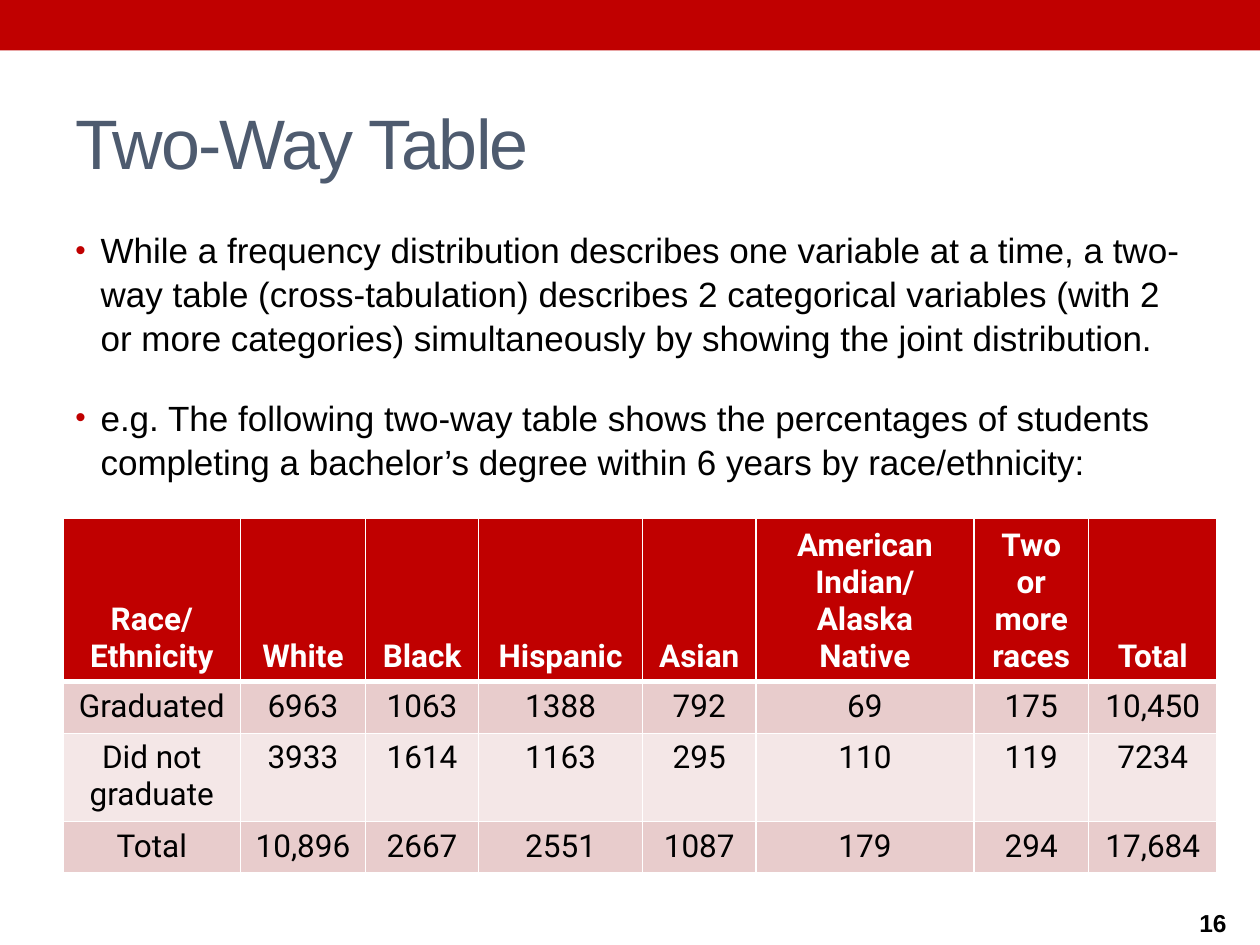
from pptx import Presentation
from pptx.dml.color import RGBColor
from pptx.enum.shapes import MSO_SHAPE
from pptx.enum.text import MSO_ANCHOR, PP_ALIGN
from pptx.oxml.ns import qn
from pptx.util import Inches, Pt
from lxml import etree

RECT = MSO_SHAPE.RECTANGLE
TOP, MIDDLE, BOTTOM = MSO_ANCHOR.TOP, MSO_ANCHOR.MIDDLE, MSO_ANCHOR.BOTTOM
CENTER = PP_ALIGN.CENTER

COLORS = {
    "red": "C00000",
    "slate": "4E5B6F",
    "black": "000000",
    "white": "FFFFFF",
    "rose": "E8CCCC",
    "blush": "F4E7E7",
}

POINTS = [
    "While a frequency distribution describes one variable at a time, a two-way table "
    "(cross-tabulation) describes 2 categorical variables (with 2 or more categories) "
    "simultaneously by showing the joint distribution.",
    "e.g. The following two-way table shows the percentages of students completing a "
    "bachelor’s degree within 6 years by race/ethnicity:",
]

ROWS = [
    ["Race/\nEthnicity", "White", "Black", "Hispanic", "Asian",
     "American Indian/\nAlaska Native", "Two or more races", "Total"],
    ["Graduated", "6963", "1063", "1388", "792", "69", "175", "10,450"],
    ["Did not graduate", "3933", "1614", "1163", "295", "110", "119", "7234"],
    ["Total", "10,896", "2667", "2551", "1087", "179", "294", "17,684"],
]
WIDTHS = [1.41, 0.99, 0.9, 1.3, 0.9, 1.73, 0.91, 1.02]
HEIGHTS = [1.26, 0.41, 0.68, 0.41]


def rgb(name):
    return RGBColor.from_string(COLORS[name])


def style(para, size, color, face="Arial", bold=False):
    font = para.font
    font.name, font.size, font.bold = face, Pt(size), bold
    font.color.rgb = rgb(color)


def add_bar(slide):
    bar = slide.shapes.add_shape(RECT, 0, 0, Inches(10), Inches(0.4))
    bar.shadow.inherit = False
    bar.fill.solid()
    bar.fill.fore_color.rgb = rgb("red")
    bar.line.fill.background()


def add_text(slide, box, lines, size, color, anchor=TOP, bold=False):
    frame = slide.shapes.add_textbox(*map(Inches, box)).text_frame
    frame.word_wrap = True
    frame.vertical_anchor = anchor
    frame.text = "\n".join(lines)
    for para in frame.paragraphs:
        style(para, size, color, bold=bold)
    return frame


def add_bullet(para):
    props = para._p.get_or_add_pPr()
    props.set("marL", str(Inches(0.2)))
    props.set("indent", str(-Inches(0.2)))
    tint = etree.Element(qn("a:buClr"))
    etree.SubElement(tint, qn("a:srgbClr"), val=COLORS["red"])
    marks = [
        tint,
        etree.Element(qn("a:buSzPct"), val="85000"),
        etree.Element(qn("a:buFont"), typeface="Arial"),
        etree.Element(qn("a:buChar"), char="•"),
    ]
    for mark in marks:
        props.find(qn("a:defRPr")).addprevious(mark)


def set_edges(cell, top, bottom):
    """Draw white cell borders, 1 pt at the sides."""
    props = cell._tc.get_or_add_tcPr()
    edges = {"lnL": 1, "lnR": 1, "lnT": top, "lnB": bottom}
    for spot, (tag, width) in enumerate(edges.items()):
        line = etree.Element(qn("a:" + tag), w=str(Pt(width)))
        fill = etree.SubElement(line, qn("a:solidFill"))
        etree.SubElement(fill, qn("a:srgbClr"), val=COLORS["white"])
        props.insert(spot, line)


def fill_cell(cell, text, row):
    head = row == 0
    cell.text = text
    cell.vertical_anchor = BOTTOM if head else TOP
    for para in cell.text_frame.paragraphs:
        para.alignment = CENTER
        style(para, 18, "white" if head else "black", "Roboto", head)
    cell.fill.solid()
    cell.fill.fore_color.rgb = rgb("red" if head else "rose" if row % 2 else "blush")
    set_edges(cell, 3 if row == 1 else 1, 3 if head else 1)


def add_grid(slide):
    table = slide.shapes.add_table(
        len(ROWS), len(WIDTHS), Inches(0.5), Inches(4.11),
        Inches(sum(WIDTHS)), Inches(sum(HEIGHTS))).table
    for col, width in zip(table.columns, WIDTHS):
        col.width = Inches(width)
    for row, (texts, height) in enumerate(zip(ROWS, HEIGHTS)):
        table.rows[row].height = Inches(height)
        for col, text in enumerate(texts):
            fill_cell(table.cell(row, col), text, row)


def main():
    deck = Presentation()
    deck.slide_width, deck.slide_height = Inches(10), Inches(7.5)
    slide = deck.slides.add_slide(deck.slide_layouts[6])

    add_bar(slide)
    title = add_text(slide, (0.5, 0.58, 9, 1.08), ["Two-Way Table"], 40, "slate", MIDDLE)
    title.paragraphs[0].runs[0].font._element.set("spc", "-100")

    body = add_text(slide, (0.5, 1.75, 9, 5.33), POINTS, 20, "black")
    for para in body.paragraphs:
        para.line_spacing = 1.05
        add_bullet(para)
    body.paragraphs[1].space_before = Pt(20)

    add_text(slide, (9.42, 7.14, 1.17, 0.36), ["16"], 14, "black", MIDDLE, True)
    add_grid(slide)
    deck.save("out.pptx")


if __name__ == "__main__":
    main()
